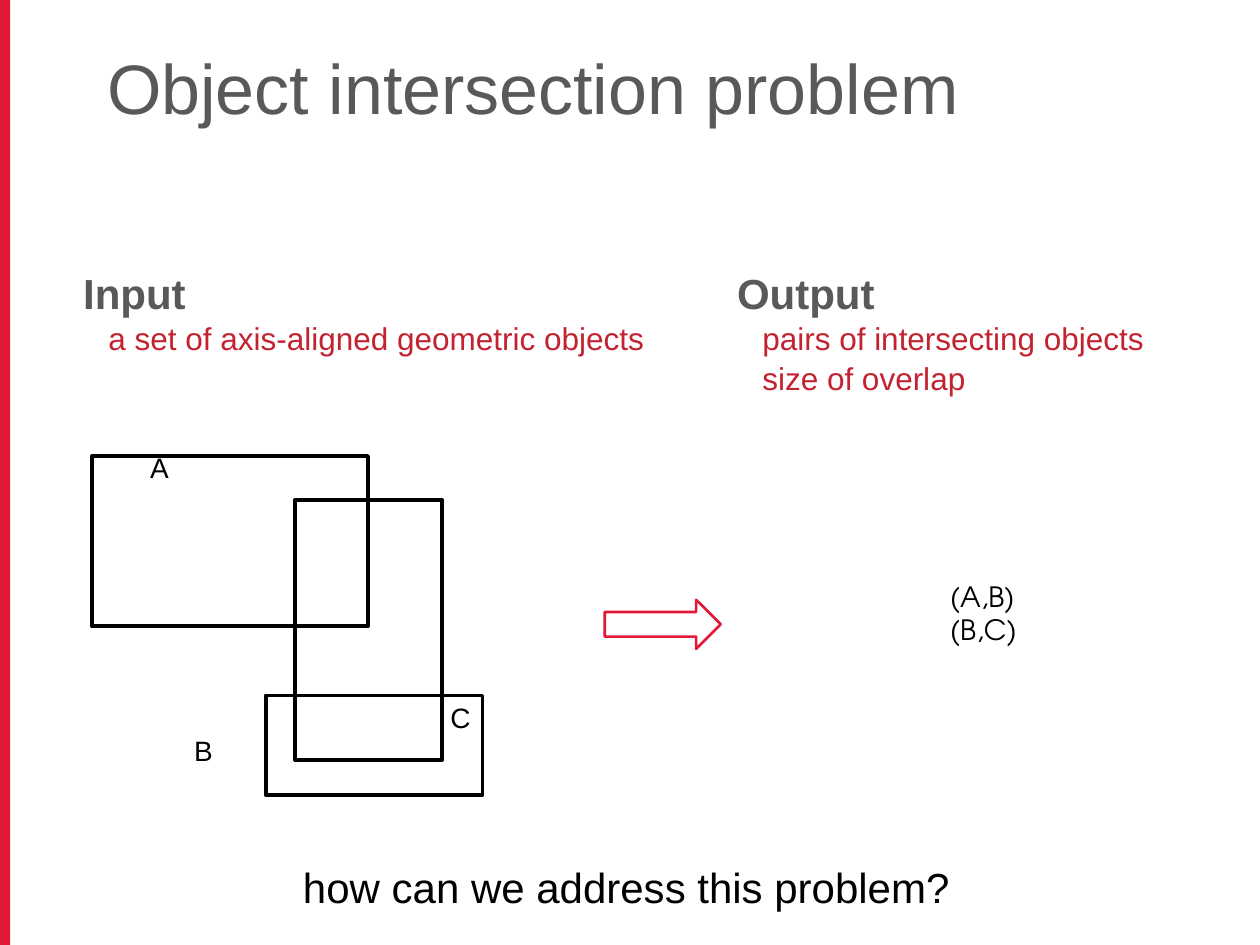
"""Build the slide on the object intersection problem."""
import pptx
import pptx.dml.color
import pptx.enum.shapes
import pptx.enum.text
import pptx.oxml
import pptx.oxml.ns
import pptx.util

Inches = pptx.util.Inches
SHAPES = pptx.enum.shapes.MSO_SHAPE
ALIGN = pptx.enum.text.PP_ALIGN
ANCHOR = pptx.enum.text.MSO_ANCHOR
COLORS = {"red": "E31837", "crimson": "C32330", "gray": "595959", "black": "000000"}


class SlideBuilder:
    """Hold the style and the current slide, and add its elements."""

    font = "Arial"

    def __init__(self, slide):
        self.slide = slide

    def color(self, name):
        return pptx.dml.color.RGBColor.from_string(COLORS[name])

    def place(self, element, left, top, width, height):
        element.left, element.top = Inches(left), Inches(top)
        element.width, element.height = Inches(width), Inches(height)

    def format(self, paragraph, size, color, font=None, bold=False):
        for run in paragraph.runs:
            run.font.name = font or self.font
            run.font.size = pptx.util.Pt(size)
            run.font.bold = bold
            run.font.color.rgb = self.color(color)

    def title(self, text, *box):
        heading = self.slide.shapes.title
        self.place(heading, *box)
        frame = heading.text_frame
        frame.text = text
        frame.vertical_anchor = ANCHOR.MIDDLE
        frame.paragraphs[0].alignment = ALIGN.LEFT
        self.format(frame.paragraphs[0], 40, "gray")

    def column(self, index, heading, items, *box):
        body = self.slide.placeholders[index]
        self.place(body, *box)
        frame = body.text_frame
        frame.text = "\n".join([heading, *items])
        frame.auto_size = pptx.enum.text.MSO_AUTO_SIZE.NONE
        for position, paragraph in enumerate(frame.paragraphs):
            paragraph.level = min(position, 1)
            paragraph.line_spacing = 1.05
            paragraph.space_before = pptx.util.Pt(0)
            properties = paragraph._p.get_or_add_pPr()
            properties.set("marL", str(Inches(0.2 * paragraph.level)))
            properties.set("indent", "0")
            properties.append(pptx.oxml.parse_xml(
                f'<a:buNone {pptx.oxml.ns.nsdecls("a")}/>'))
            if position == 0:
                self.format(paragraph, 24, "gray", bold=True)
            else:
                self.format(paragraph, 18, "crimson")

    def shape(self, kind, *box, fill=None, line=None, weight=2.25):
        figure = self.slide.shapes.add_shape(kind, *map(Inches, box))
        figure.shadow.inherit = False
        if fill:
            figure.fill.solid()
            figure.fill.fore_color.rgb = self.color(fill)
        else:
            figure.fill.background()
        if line:
            figure.line.color.rgb = self.color(line)
            figure.line.width = pptx.util.Pt(weight)
        else:
            figure.line.fill.background()

    def text(self, text, *box, size=16, align=ALIGN.CENTER, font=None,
             anchor=ANCHOR.MIDDLE, left_inset=0.1, inset=0.1):
        frame = self.slide.shapes.add_textbox(*map(Inches, box)).text_frame
        frame.word_wrap = True
        frame.vertical_anchor = anchor
        frame.margin_left = Inches(left_inset)
        frame.margin_top = frame.margin_bottom = Inches(inset)
        frame.text = text
        for paragraph in frame.paragraphs:
            paragraph.alignment = align
            self.format(paragraph, size, "black", font)


def main():
    presentation = pptx.Presentation()
    presentation.slide_width, presentation.slide_height = Inches(10), Inches(7.5)
    builder = SlideBuilder(
        presentation.slides.add_slide(presentation.slide_layouts[3]))

    builder.shape(SHAPES.RECTANGLE, 0, 0, 0.08, 7.5, fill="red")
    builder.title("Object intersection problem", 0.75, 0.3, 8.92, 0.78)
    builder.column(1, "Input", ["a set of axis-aligned geometric objects"],
                   0.56, 2.05, 4.75, 0.81)
    builder.column(2, "Output", ["pairs of intersecting objects", "size of overlap"],
                   5.75, 2.05, 3.62, 1.11)

    for box in [(0.73, 3.62, 2.19, 1.35), (2.11, 5.52, 1.72, 0.79),
                (2.34, 3.97, 1.17, 2.06)]:
        builder.shape(SHAPES.RECTANGLE, *box, line="black")
    for label, left, top in [("A", 1.01, 3.5), ("B", 1.36, 5.75), ("C", 3.4, 5.49)]:
        builder.text(label, left, top, 0.51, 0.41)

    builder.shape(SHAPES.RIGHT_ARROW, 4.8, 4.76, 0.92, 0.39, line="red", weight=1.5)
    builder.text("(A,B)\n(B,C)", 7.44, 4.3, 0.79, 1.13,
                 align=ALIGN.LEFT, font="TeX Gyre Adventor")
    builder.text("how can we address this problem?", 1.81, 6.79, 6.42, 0.54,
                 size=24, anchor=ANCHOR.TOP, left_inset=0, inset=0.05)
    presentation.save("out.pptx")


if __name__ == "__main__":
    main()
